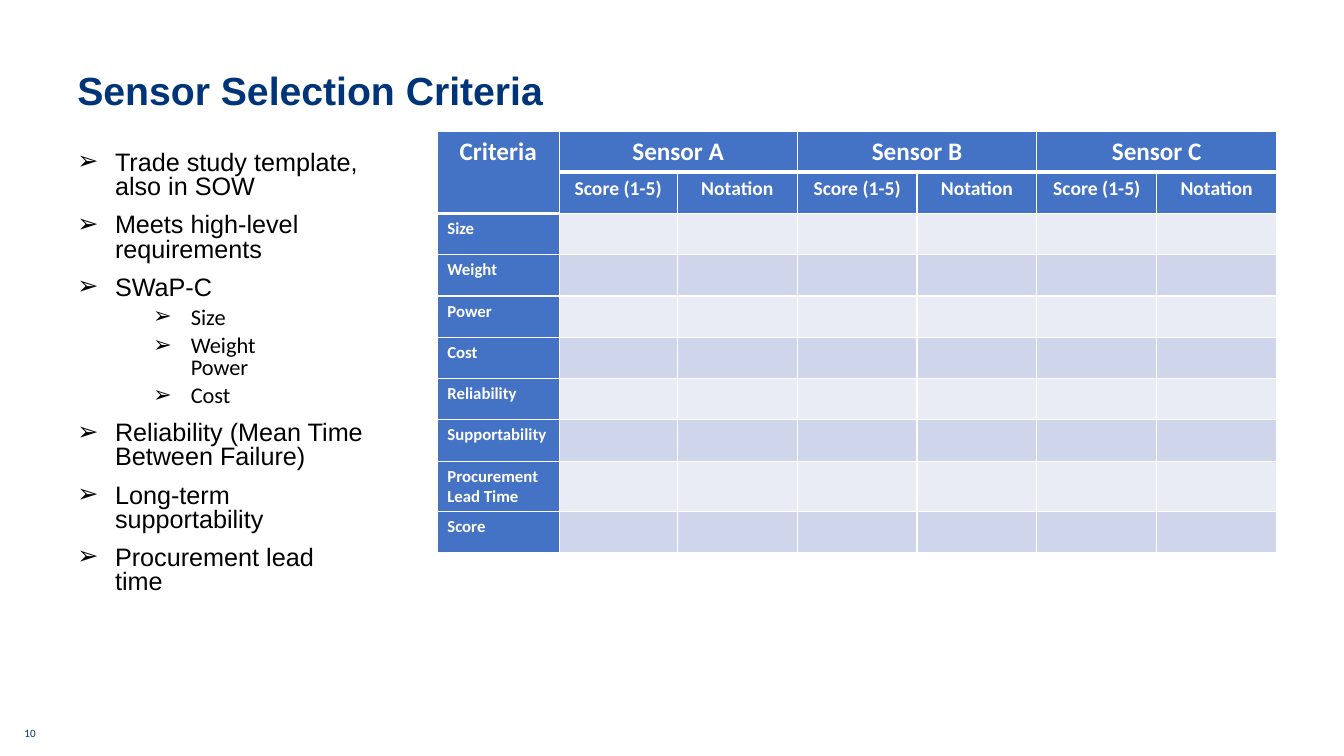
from lxml.etree import SubElement
from pptx import Presentation
from pptx.dml.color import RGBColor
from pptx.enum.text import MSO_ANCHOR as Anchor, PP_ALIGN as Align
from pptx.oxml.ns import qn
from pptx.util import Cm, Pt

TITLE = "Sensor Selection Criteria"
PAGE_NUMBER = "10"
BULLETS = [
    (0, "Trade study template, also in SOW"),
    (0, "Meets high-level requirements"),
    (0, "SWaP-C"),
    (1, "Size"),
    (1, "Weight\nPower"),
    (1, "Cost"),
    (0, "Reliability (Mean Time Between Failure)"),
    (0, "Long-term supportability"),
    (0, "Procurement lead time"),
]
LEVELS = [
    {"font": "Arial", "size": 18, "before": 10, "indent": 0.95},
    {"font": "Calibri", "size": 16, "before": 5, "indent": 2.86},
]
SENSORS = ["Sensor A", "Sensor B", "Sensor C"]
MEASURES = ["Score (1-5)", "Notation"]
CRITERIA = ["Size", "Weight", "Power", "Cost", "Reliability",
            "Supportability", "Procurement Lead Time", "Score"]
COLORS = {"navy": "003478", "black": "000000", "white": "FFFFFF",
          "header": "4472C4", "light": "E9EBF5", "dark": "CFD5EA"}
COLUMN_WIDTHS = [3.07, 2.98] + [3.02] * 5
ROW_HEIGHT = 1.04
HANGING = 0.95


def color(name):
    return RGBColor.from_string(COLORS[name])


def add_span(para, text, font, size, shade, bold=False):
    for index, line in enumerate(text.split("\n")):
        if index:
            para.add_line_break()
        span = para.add_run()
        span.text = line
        span.font.name = font
        span.font.size = Pt(size)
        span.font.bold = bold
        span.font.color.rgb = color(shade)


def add_frame(page, left, top, width, height, anchor=Anchor.TOP):
    box = page.shapes.add_textbox(Cm(left), Cm(top), Cm(width), Cm(height))
    frame = box.text_frame
    frame.word_wrap = True
    frame.vertical_anchor = anchor
    return frame


def add_bullets(page):
    frame = add_frame(page, 1.7, 3.71, 7.75, 11.79)
    for index, (level, text) in enumerate(BULLETS):
        style = LEVELS[level]
        para = frame.add_paragraph() if index else frame.paragraphs[0]
        para.level = level
        para.line_spacing = 0.8
        para.space_before = Pt(style["before"] if index else 0)
        settings = para._p.get_or_add_pPr()
        settings.set("marL", str(Cm(style["indent"])))
        settings.set("indent", str(-Cm(HANGING)))
        SubElement(settings, qn("a:buFont"), typeface="Wingdings 3")
        settings[-1].set("typeface", "Arial")
        SubElement(settings, qn("a:buChar"), char="➢")
        add_span(para, text, style["font"], style["size"], "black")


def set_borders(cell, widths):
    settings = cell._tc.get_or_add_tcPr()
    for index, (side, width) in enumerate(widths.items()):
        line = SubElement(settings, qn(f"a:ln{side}"), w=str(Pt(width)))
        fill = SubElement(line, qn("a:solidFill"))
        SubElement(fill, qn("a:srgbClr"), val=COLORS["white"])
        settings.insert(index, line)


def fill_cell(cell, text, size, align):
    para = cell.text_frame.paragraphs[0]
    para.alignment = align
    add_span(para, text, "Calibri", size, "white", bold=True)


def add_criteria_table(page):
    row_count, column_count = len(CRITERIA) + 2, len(COLUMN_WIDTHS)
    table = page.shapes.add_table(
        row_count, column_count, Cm(11.02), Cm(3.3),
        Cm(sum(COLUMN_WIDTHS)), Cm(ROW_HEIGHT * row_count)).table
    for column, width in zip(table.columns, COLUMN_WIDTHS):
        column.width = Cm(width)
    for row in range(row_count):
        table.rows[row].height = Cm(ROW_HEIGHT)
        for column in range(column_count):
            cell = table.cell(row, column)
            is_header = row < 2 or column == 0
            shade = "header" if is_header else ("dark" if row % 2 else "light")
            cell.fill.solid()
            cell.fill.fore_color.rgb = color(shade)
            heading_end = 1 if column == 0 else 0
            set_borders(cell, {
                "L": 1, "R": 1,
                "T": 3 if row == heading_end + 1 else 1,
                "B": 3 if row <= heading_end else 1})

    table.cell(0, 0).merge(table.cell(1, 0))
    fill_cell(table.cell(0, 0), "Criteria", 18, Align.CENTER)
    for index, sensor in enumerate(SENSORS):
        first = 1 + index * len(MEASURES)
        table.cell(0, first).merge(table.cell(0, first + len(MEASURES) - 1))
        fill_cell(table.cell(0, first), sensor, 18, Align.CENTER)
        for offset, measure in enumerate(MEASURES):
            fill_cell(table.cell(1, first + offset), measure, 14, Align.CENTER)
    for row, criterion in enumerate(CRITERIA, start=2):
        fill_cell(table.cell(row, 0), criterion, 12, Align.LEFT)


def main():
    deck = Presentation()
    deck.slide_width, deck.slide_height = Cm(33.87), Cm(19.05)
    page = deck.slides.add_slide(deck.slide_layouts[6])

    number = add_frame(page, 0.2, 18.19, 1.12, 0.6).paragraphs[0]
    number.alignment = Align.CENTER
    add_span(number, PAGE_NUMBER, "Calibri", 8, "navy")

    title = add_frame(page, 1.7, 1.4, 30.5, 1.9, Anchor.MIDDLE).paragraphs[0]
    title.line_spacing = 0.9
    add_span(title, TITLE, "Arial", 28, "navy", bold=True)

    add_bullets(page)
    add_criteria_table(page)
    deck.save("out.pptx")


if __name__ == "__main__":
    main()
